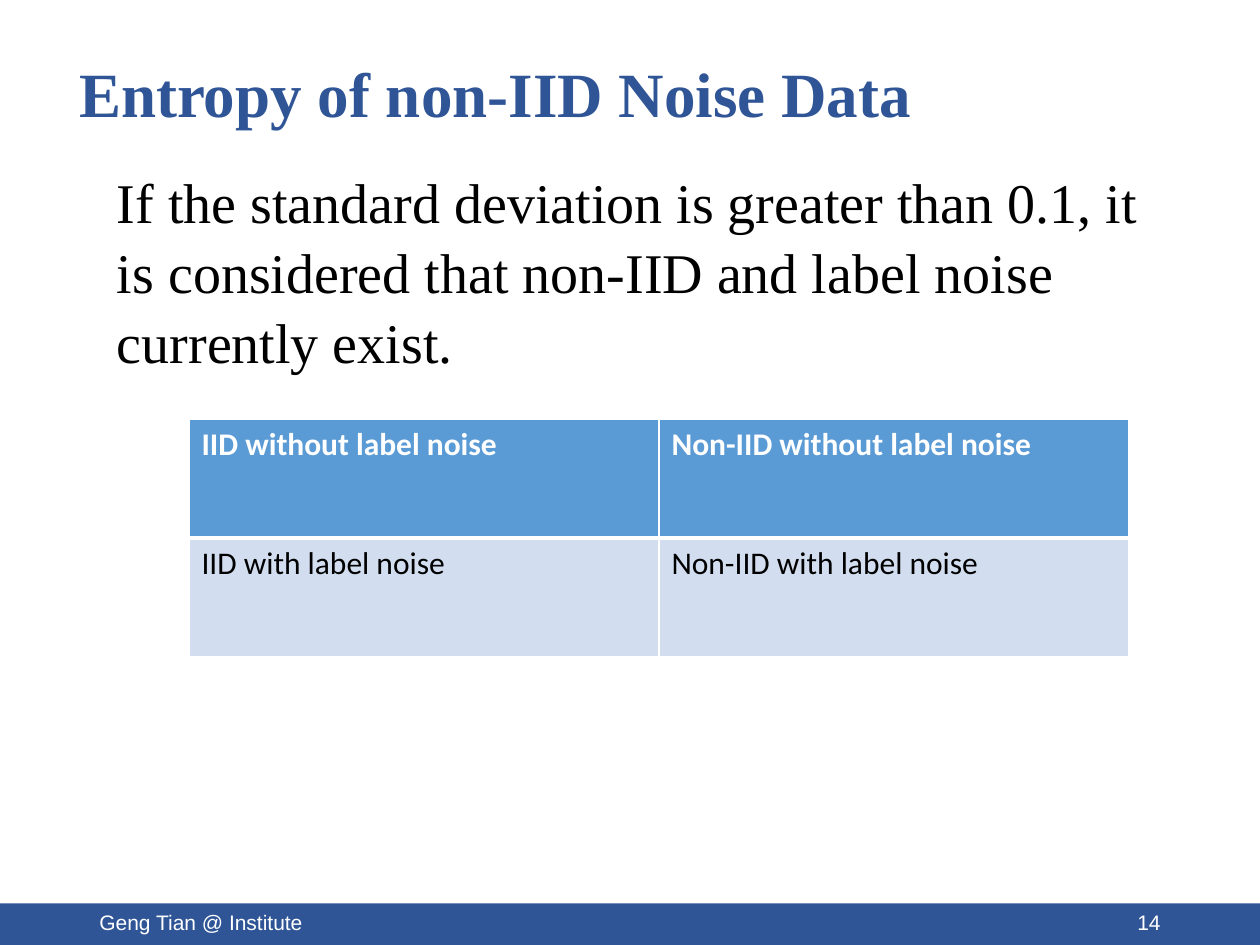
from dataclasses import dataclass

from lxml import etree
from pptx import Presentation
from pptx import util as u
from pptx.dml.color import RGBColor
from pptx.enum import shapes, text
from pptx.oxml import ns


@dataclass(frozen=True)
class Theme:
    navy: str = "2F5597"
    header: str = "5B9BD5"
    band: str = "D2DEEF"
    white: str = "FFFFFF"
    black: str = "000000"
    serif: str = "Times New Roman"
    sans: str = "Arial"
    table: str = "Calibri"
    title_size: int = 36
    body_size: int = 32
    table_size: int = 18
    footer_size: int = 12


T = Theme()


def write(tf, content, *, font, size, color, bold=False, align=None,
          anchor=text.MSO_ANCHOR.TOP, spacing=None):
    tf.word_wrap = True
    tf.vertical_anchor = anchor
    p = tf.paragraphs[0]
    p.alignment = align
    p.line_spacing = spacing
    r = p.add_run()
    r.text = content
    r.font.name = font
    r.font.size = u.Pt(size)
    r.font.bold = bold
    r.font.color.rgb = RGBColor.from_string(color)


def add_text(s, box, content, **style):
    sp = s.shapes.add_textbox(*map(u.Inches, box))
    write(sp.text_frame, content, **style)


def add_bar(s, box, color):
    sp = s.shapes.add_shape(shapes.MSO_SHAPE.RECTANGLE, *map(u.Inches, box))
    sp.shadow.inherit = False
    sp.fill.solid()
    sp.fill.fore_color.rgb = RGBColor.from_string(color)
    sp.line.fill.background()


def set_borders(cell, color, **widths):
    props = cell._tc.get_or_add_tcPr()
    for i, side in enumerate("LRTB"):
        line = etree.Element(ns.qn(f"a:ln{side}"), w=str(u.Pt(widths.get(side, 1))))
        fill = etree.SubElement(line, ns.qn("a:solidFill"))
        etree.SubElement(fill, ns.qn("a:srgbClr"), val=color)
        props.insert(i, line)


def add_grid(s, box, rows):
    table = s.shapes.add_table(len(rows), len(rows[0]), *map(u.Inches, box)).table
    for i, row in enumerate(rows):
        head = i == 0
        for j, content in enumerate(row):
            cell = table.cell(i, j)
            cell.fill.solid()
            cell.fill.fore_color.rgb = RGBColor.from_string(T.header if head else T.band)
            write(cell.text_frame, content, font=T.table, size=T.table_size,
                  color=T.white if head else T.black, bold=head)
            set_borders(cell, T.white, **({"B": 3} if head else {"T": 3}))


def add_footer(s, author, number):
    add_bar(s, (-0.01, 7.17, 10.03, 0.33), T.navy)
    for left, content, align in ((0.69, author, text.PP_ALIGN.LEFT),
                                 (7.06, number, text.PP_ALIGN.RIGHT)):
        add_text(s, (left, 7.12, 2.25, 0.4), content, font=T.sans, size=T.footer_size,
                 color=T.white, align=align, anchor=text.MSO_ANCHOR.MIDDLE)


def main():
    prs = Presentation()
    prs.slide_width, prs.slide_height = u.Inches(10), u.Inches(7.5)
    s = prs.slides.add_slide(prs.slide_layouts[6])
    add_text(s, (0.53, 0.28, 8.62, 0.98), "Entropy of non-IID Noise Data",
             font=T.serif, size=T.title_size, color=T.navy, bold=True,
             anchor=text.MSO_ANCHOR.MIDDLE, spacing=0.9)
    add_footer(s, "Geng Tian @ Institute", "14")
    add_text(s, (0.83, 1.26, 8.62, 2.25),
             "If the standard deviation is greater than 0.1, it is considered "
             "that non-IID and label noise currently exist.",
             font=T.serif, size=T.body_size, color=T.black, spacing=1.04)
    add_grid(s, (1.5, 3.33, 7.46, 1.88), (
        ("IID without label noise", "Non-IID without label noise"),
        ("IID with label noise", "Non-IID with label noise"),
    ))
    prs.save("out.pptx")


if __name__ == "__main__":
    main()
